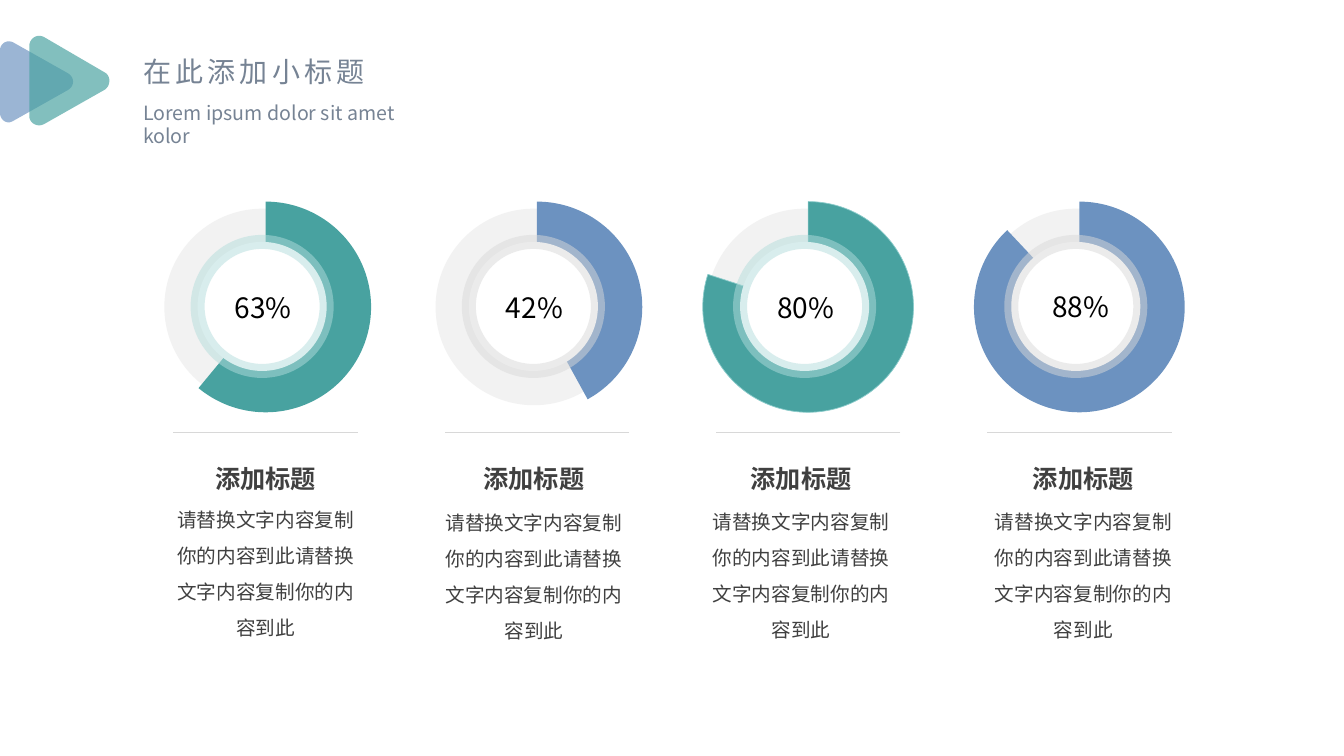
from dataclasses import dataclass

from lxml import etree
from pptx import Presentation
from pptx.dml.color import RGBColor
from pptx.enum import shapes as kinds, text as txt
from pptx.oxml import ns
from pptx.util import Inches, Pt


@dataclass(frozen=True)
class Theme:
    font: str = "Noto Sans CJK SC"
    teal: str = "48A2A0"
    blue: str = "6C92C0"
    mint: str = "B3DDDC"
    edge: str = "8CCCCB"
    grey: str = "D9D9D9"
    track: str = "F2F2F2"
    rule: str = "D8D8D8"
    white: str = "FFFFFF"
    slate: str = "768394"
    dark: str = "404040"
    black: str = "000000"
    large: int = 20
    head: int = 18
    small: int = 14


def paint(fill, color, alpha=None):
    """Set a solid fill, with an optional opacity in percent."""
    fill.solid()
    fill.fore_color.rgb = RGBColor.from_string(color)
    if alpha:
        for node in fill._xPr.iter(ns.qn("a:srgbClr")):
            etree.SubElement(node, ns.qn("a:alpha")).set("val", str(alpha * 1000))


def write(box, words, size, color, align=txt.PP_ALIGN.LEFT, space=None, wrap=True):
    """Fill a box with one styled paragraph and return its run."""
    frame = box.text_frame
    frame.text = words
    frame.word_wrap = wrap
    frame.auto_size = txt.MSO_AUTO_SIZE.SHAPE_TO_FIT_TEXT
    frame.vertical_anchor = txt.MSO_ANCHOR.TOP
    para = frame.paragraphs[0]
    para.alignment = align
    para.line_spacing = space
    run = para.runs[0]
    run.font.name = t.font
    run.font.size = Pt(size)
    run.font.color.rgb = RGBColor.from_string(color)
    etree.SubElement(run.font._element, ns.qn("a:ea")).set("typeface", t.font)
    return run


t = Theme()
deck = Presentation()
deck.slide_width, deck.slide_height = Inches(13.33), Inches(7.5)
slide = deck.slides.add_slide(deck.slide_layouts[5])
items = slide.shapes

# Heading
title = items.title
title.left, title.top = Inches(1.32), Inches(0.49)
title.width, title.height = Inches(2.46), Inches(0.44)
run = write(title, "在此添加小标题", t.large, t.slate, wrap=False)
run.font._element.set("spc", "300")
box = items.add_textbox(Inches(1.32), Inches(0.95), Inches(3.19), Inches(0.34))
write(box, "Lorem ipsum dolor sit amet kolor", t.small, t.slate)

# Rounded triangles: each corner is a cubic curve, joined by straight sides
marks = [
    (t.blue, [[(0.13, 0.42), (0.07, 0.39), (0, 0.43), (0, 0.5)],
              [(0, 1.12), (0, 1.19), (0.07, 1.24), (0.13, 1.2)],
              [(0.68, 0.89), (0.74, 0.85), (0.74, 0.77), (0.68, 0.73)]]),
    (t.teal, [[(0.44, 0.37), (0.37, 0.33), (0.29, 0.38), (0.29, 0.46)],
              [(0.29, 1.15), (0.29, 1.22), (0.37, 1.27), (0.44, 1.23)],
              [(1.04, 0.89), (1.1, 0.85), (1.1, 0.75), (1.04, 0.72)]]),
]
steps = 10
for color, corners in marks:
    points = []
    for a, b, c, d in corners:
        for n in range(steps + 1):
            u = n / steps
            v = 1 - u
            points.append([Inches(v**3 * p + 3 * v * v * u * q + 3 * v * u * u * r + u**3 * s)
                           for p, q, r, s in zip(a, b, c, d)])
    pen = items.build_freeform(*points[0])
    pen.add_line_segments(points[1:], close=True)
    mark = pen.convert_to_shape()
    mark.shadow.inherit = False
    paint(mark.fill, color, 68)
    mark.line.fill.background()

# Columns: label, share drawn, pie colour, hole ring, pie edge,
# label offset and top, caption left, body top
columns = [
    ("63%", 0.61, t.teal, t.mint, None, 0.6, 2.83, 1.72, 4.86),
    ("42%", 0.42, t.blue, t.grey, None, 0.6, 2.83, 4.38, 4.89),
    ("80%", 0.8, t.teal, t.mint, t.edge, 0.6, 2.83, 7.03, 4.88),
    ("88%", 0.88, t.blue, t.grey, None, 0.64, 2.82, 9.83, 4.88),
]
oval, pie = kinds.MSO_SHAPE.OVAL, kinds.MSO_SHAPE.PIE
turn, start = 216, 162  # full circle and twelve o'clock in adjustment units
mid = txt.PP_ALIGN.CENTER
for i, (label, share, color, ring, edge, shift, top, left, low) in enumerate(columns):
    x = 1.63 + 2.69 * i
    layers = [
        (oval, x, 2.07, 1.95, t.track, None, 0, None),
        (pie, x - 0.04, 2, 2.09, color, edge, 0.5, None),
        (oval, x + 0.33, 2.4, 1.28, t.white, ring, 10, 50),
    ]
    for kind, at, y, size, fill, line, width, alpha in layers:
        disc = items.add_shape(kind, Inches(at), Inches(y), Inches(size), Inches(size))
        disc.shadow.inherit = False
        paint(disc.fill, fill)
        if kind == pie:
            disc.adjustments[0] = start
            disc.adjustments[1] = (start + turn * share) % turn
        if line:
            disc.line.width = Pt(width)
            paint(disc.line.fill, line, alpha)
        else:
            disc.line.fill.background()

    rule = items.add_connector(kinds.MSO_CONNECTOR.STRAIGHT, Inches(x + 1.92),
                               Inches(4.29), Inches(x + 0.09), Inches(4.29))
    rule.line.width = Pt(1)
    paint(rule.line.fill, t.rule)
    etree.SubElement(rule._element.spPr, ns.qn("a:effectLst"))

    box = items.add_textbox(Inches(x + shift), Inches(top), Inches(0.83), Inches(0.44))
    write(box, label, t.large, t.black)
    box = items.add_textbox(Inches(left), Inches(4.49), Inches(1.83), Inches(0.45))
    write(box, "添加标题", t.head, t.dark, mid, 1.2).font.bold = True
    box = items.add_textbox(Inches(left - 0.13), Inches(low), Inches(2.09), Inches(1.55))
    write(box, "请替换文字内容复制你的内容到此请替换文字内容复制你的内容到此",
          t.small, t.dark, mid, 1.54)

deck.save("out.pptx")
